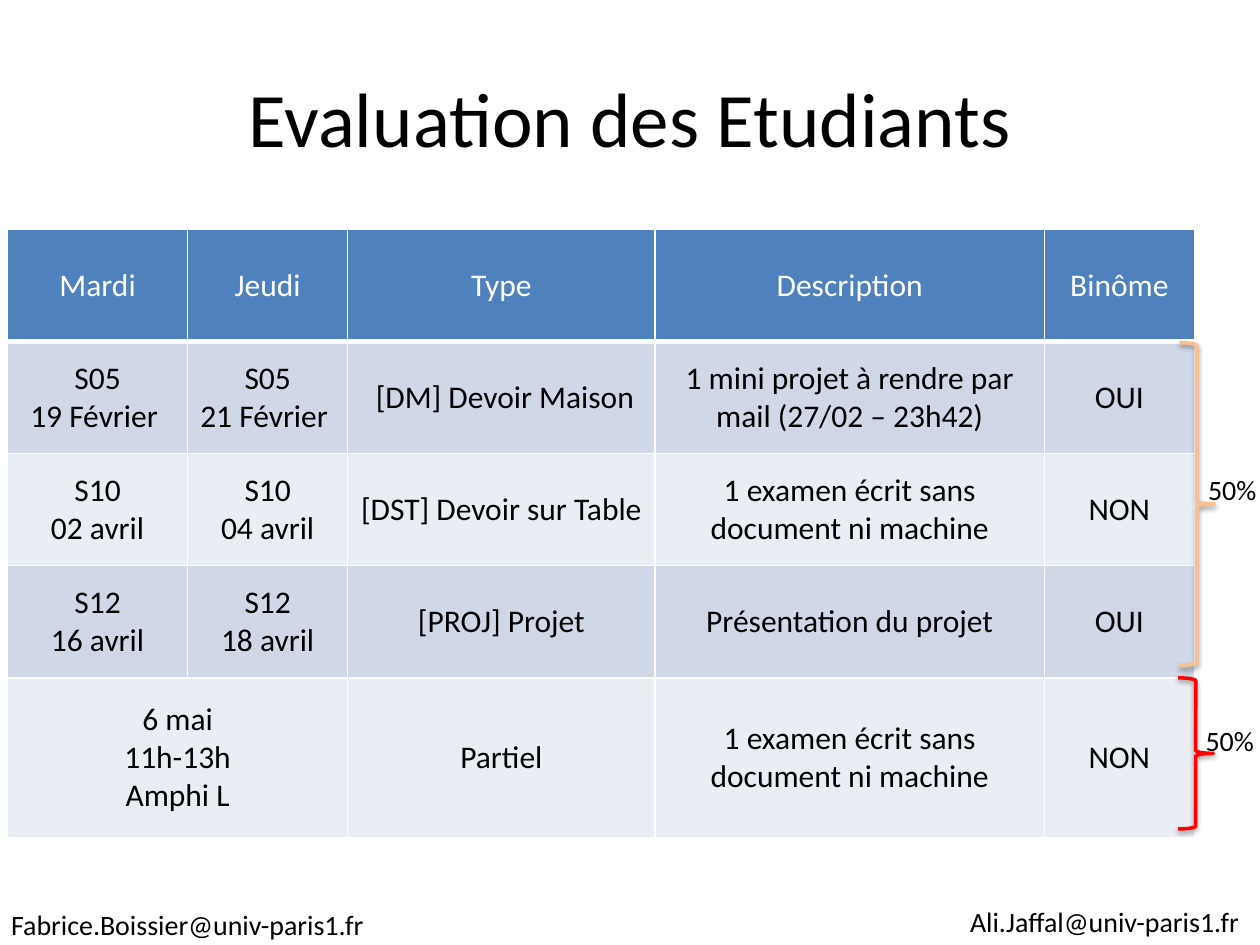
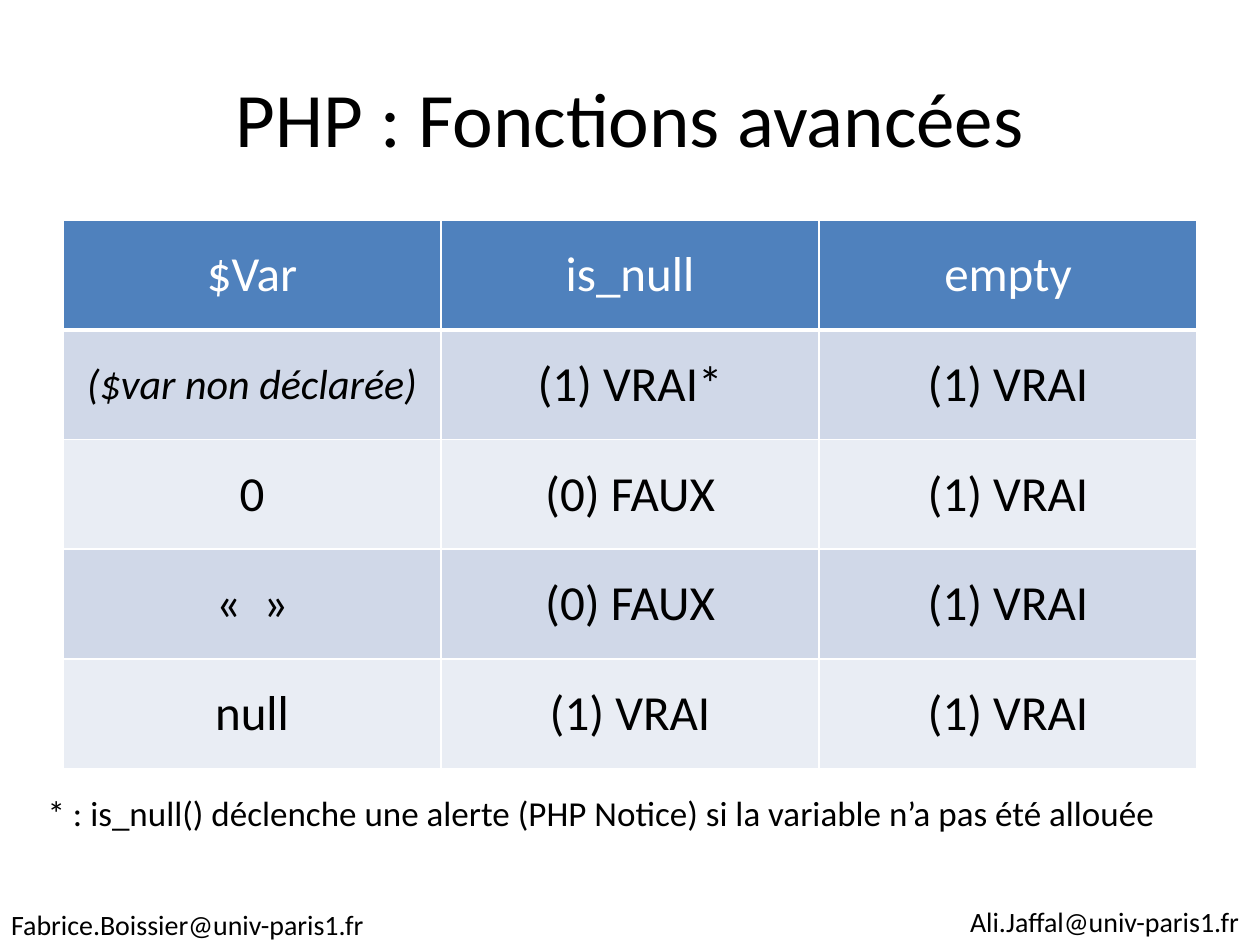
from lxml import etree
from pptx import Presentation
from pptx.dml.color import RGBColor
from pptx.enum import shapes, text
from pptx.oxml import ns
from pptx.util import Inches, Pt

FONT = "Calibri"
BLACK = RGBColor(0x00, 0x00, 0x00)
WHITE = RGBColor(0xFF, 0xFF, 0xFF)
HEADER_BLUE = RGBColor(0x4F, 0x81, 0xBD)
BANDS = (RGBColor(0xD0, 0xD8, 0xE8), RGBColor(0xE9, 0xED, 0xF4))
ORANGE = RGBColor(0xFA, 0xC0, 0x90)
RED = RGBColor(0xFF, 0x00, 0x00)

EXAM = "1 examen écrit sans document ni machine"
EVALUATIONS = [
    ["Mardi", "Jeudi", "Type", "Description", "Binôme"],
    ["S05\v19 Février ", "S05\v21 Février ", " [DM] Devoir Maison",
     "1 mini projet à rendre par mail (27/02 – 23h42)", "OUI"],
    ["S10\n02 avril", "S10\n04 avril", "[DST] Devoir sur Table", EXAM, "NON"],
    ["S12\v16 avril", "S12\v18 avril", "[PROJ] Projet",
     "Présentation du projet", "OUI"],
    ["6 mai\n11h-13h\nAmphi L", "", "Partiel", EXAM, "NON"],
]
FUNCTIONS = [
    ["$Var", "is_null", "empty"],
    ["($var non déclarée)", "(1) VRAI*", " VRAI"],
    ["0", "(0) FAUX", " VRAI"],
    ["«  »", "(0) FAUX", " VRAI"],
    ["null", "(1) VRAI", " VRAI"],
]


def sub(parent, tag, **attrs):
    return etree.SubElement(parent, ns.qn(tag), attrs)


def style(tf, size, color=BLACK, align=None):
    for p in tf.paragraphs:
        if align is not None:
            p.alignment = align
        p.font.name = FONT
        p.font.size = Pt(size)
        p.font.bold = False
        p.font.color.rgb = color


def add_text(s, content, x, y, w, h, size, wrap=True, align=None):
    tf = s.shapes.add_textbox(Inches(x), Inches(y), Inches(w), Inches(h)).text_frame
    tf.word_wrap = wrap
    tf.text = content
    style(tf, size, align=align)
    return tf


def add_slide(prs, title):
    """Add a slide with the shared title and the two footer addresses."""
    s = prs.slides.add_slide(prs.slide_layouts[6])
    add_text(s, "Fabrice.Boissier@univ-paris1.fr", -0.01, 7.15, 3.04, 0.37, 16, wrap=False)
    add_text(s, "Ali.Jaffal@univ-paris1.fr", 7.6, 7.13, 2.42, 0.37, 16, wrap=False)
    tf = add_text(s, title, 0.5, 0.3, 9, 1.25, 44, align=text.PP_ALIGN.CENTER)
    tf.vertical_anchor = text.MSO_ANCHOR.MIDDLE
    return s


def set_borders(cell, bottom):
    """Draw white cell borders, 1 point wide except for the bottom one."""
    tc_pr = cell._tc.get_or_add_tcPr()
    for side, width in zip("LRTB", (1, 1, 1, bottom)):
        ln = sub(tc_pr, f"a:ln{side}", w=str(Pt(width)))
        sub(sub(ln, "a:solidFill"), "a:srgbClr", val=str(WHITE))


def add_table(s, rows, x, y, widths, heights, size):
    table = s.shapes.add_table(len(rows), len(widths), Inches(x), Inches(y),
                               Inches(sum(widths)), Inches(sum(heights))).table
    for column, width in zip(table.columns, widths):
        column.width = Inches(width)
    for i, (row, height) in enumerate(zip(rows, heights)):
        table.rows[i].height = Inches(height)
        header = i == 0
        for j, content in enumerate(row):
            cell = table.cell(i, j)
            set_borders(cell, 3 if header else 1)
            cell.fill.solid()
            cell.fill.fore_color.rgb = HEADER_BLUE if header else BANDS[(i - 1) % 2]
            cell.vertical_anchor = text.MSO_ANCHOR.MIDDLE
            cell.text_frame.text = content
            style(cell.text_frame, size, WHITE if header else BLACK, text.PP_ALIGN.CENTER)
    return table


def number_paragraph(p):
    """Number a paragraph as (1) with a hanging indent."""
    p_pr = p._p.get_or_add_pPr()
    p_pr.set("marL", str(Inches(0.38)))
    p_pr.set("indent", str(Inches(-0.38)))
    number = etree.Element(ns.qn("a:buAutoNum"), type="arabicParenBoth")
    p_pr.insert(0, number)


def add_brace(s, x, y, h, color):
    brace = s.shapes.add_shape(shapes.MSO_SHAPE.RIGHT_BRACE, Inches(x), Inches(y),
                               Inches(0.28), Inches(h))
    brace.fill.background()
    brace.line.color.rgb = color
    brace.line.width = Pt(2)
    effects = sub(brace._element.spPr, "a:effectLst")
    shadow = sub(effects, "a:outerShdw", blurRad=str(Pt(3.1)), dist=str(Pt(1.6)),
                 dir="5400000", rotWithShape="0")
    sub(sub(shadow, "a:srgbClr", val=str(BLACK)), "a:alpha", val="38000")


def build_evaluation(prs):
    s = add_slide(prs, "Evaluation des Etudiants")
    table = add_table(s, EVALUATIONS, 0.06, 1.82, [1.43, 1.27, 2.44, 3.09, 1.19],
                      [0.89] * 4 + [1.27], 18)
    table.cell(4, 0).merge(table.cell(4, 1))
    add_brace(s, 9.36, 2.72, 2.56, ORANGE)
    add_brace(s, 9.35, 5.38, 1.2, RED)
    for x, y in ((9.49, 3.7), (9.47, 5.69)):
        add_text(s, "50%", x, y, 0.63, 0.37, 16)


def build_functions(prs):
    s = add_slide(prs, "PHP : Fonctions avancées")
    table = add_table(s, FUNCTIONS, 0.5, 1.75, [3] * 3, [0.87] * 5, 28)
    undeclared = table.cell(1, 0).text_frame.paragraphs[0]
    undeclared.font.size = Pt(24)
    undeclared.font.italic = True
    for i in range(1, len(FUNCTIONS)):
        number_paragraph(table.cell(i, 2).text_frame.paragraphs[0])
    add_text(s, "* : is_null() déclenche une alerte (PHP Notice) si la variable "
             "n’a pas été allouée", 0.28, 6.23, 9.45, 0.44, 20)


def main():
    prs = Presentation()
    prs.slide_width, prs.slide_height = Inches(10), Inches(7.5)
    build_evaluation(prs)
    build_functions(prs)
    prs.save("out.pptx")


if __name__ == "__main__":
    main()
